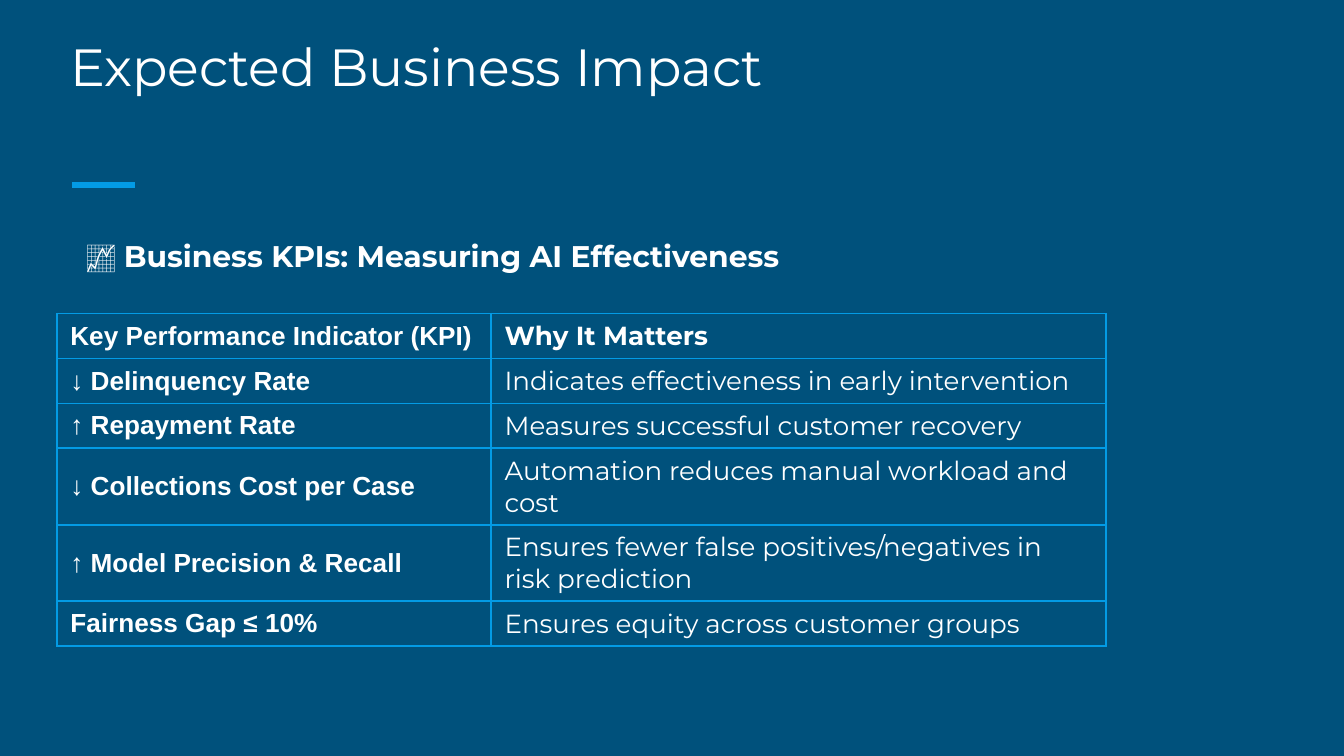
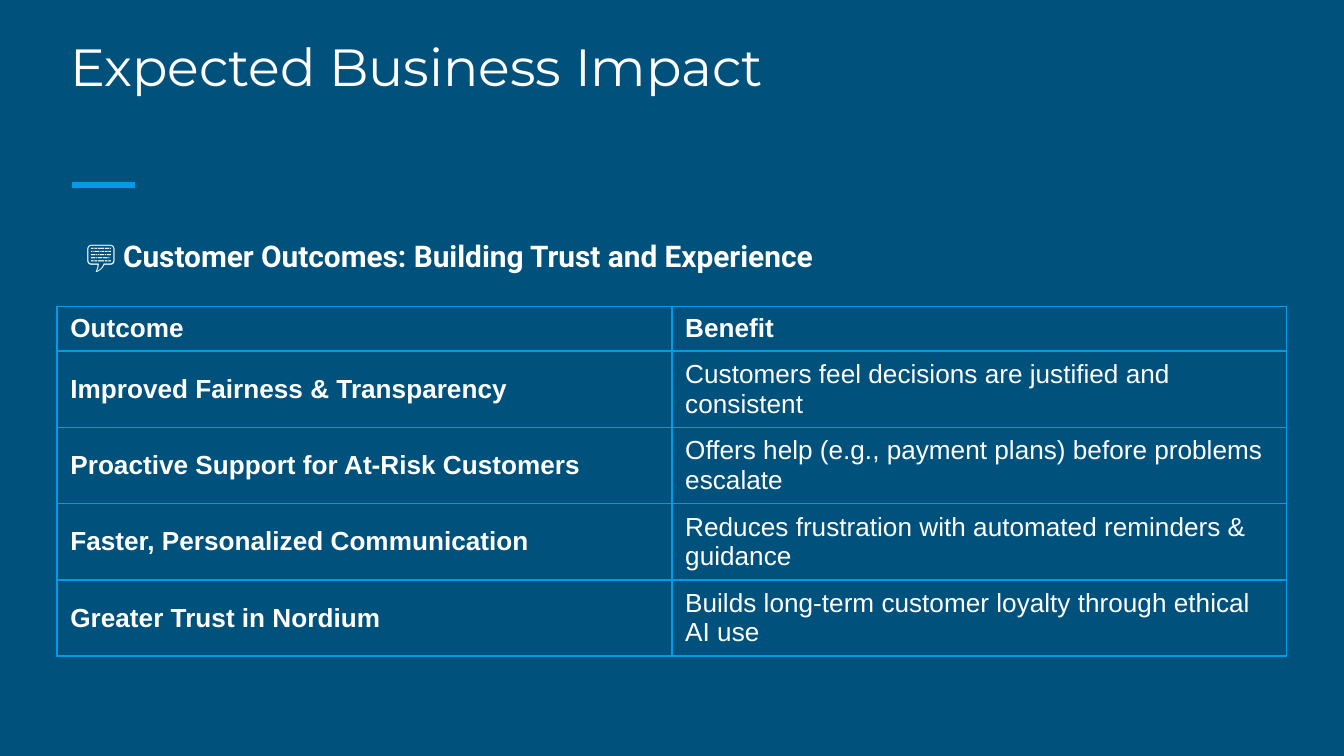
from lxml import etree
from pptx import Presentation
from pptx.dml.color import RGBColor
from pptx.enum.shapes import MSO_CONNECTOR
from pptx.enum.text import MSO_ANCHOR
from pptx.oxml.ns import qn
from pptx.util import Pt

STRAIGHT = MSO_CONNECTOR.STRAIGHT
MIDDLE, BOTTOM, TOP = MSO_ANCHOR.MIDDLE, MSO_ANCHOR.BOTTOM, MSO_ANCHOR.TOP

NAVY = RGBColor(0x00, 0x51, 0x7C)
SKY = RGBColor(0x03, 0x9B, 0xE5)
WHITE = RGBColor(0xFF, 0xFF, 0xFF)

TITLE = "Expected Business Impact"
LEFT, WIDTH = 30.5, 658.8

SLIDES = [
    {
        "icon": "📈 ",
        "heading": "Business KPIs: Measuring AI Effectiveness",
        "heading_font": "Montserrat",
        "header_fonts": ("Arial", "Montserrat"),
        "body_fonts": ("Arial", "Montserrat"),
        "top": 168,
        "columns": (232.6, 329.4),
        "row_heights": (24, 24, 24, 41, 41, 24),
        "rows": [
            ("Key Performance Indicator (KPI)", "Why It Matters"),
            ("↓ Delinquency Rate", "Indicates effectiveness in early intervention"),
            ("↑ Repayment Rate", "Measures successful customer recovery"),
            ("↓ Collections Cost per Case", "Automation reduces manual workload and cost"),
            ("↑ Model Precision & Recall",
             "Ensures fewer false positives/negatives in risk prediction"),
            ("Fairness Gap ≤ 10%", "Ensures equity across customer groups"),
        ],
    },
    {
        "icon": "💬 ",
        "heading": "Customer Outcomes: Building Trust and Experience",
        "heading_font": "Roboto",
        "header_fonts": ("Arial", "Arial"),
        "body_fonts": ("Arial", "Arial"),
        "top": 164.1,
        "columns": (329.4, 329.4),
        "row_heights": (22.3, 37.4, 37.4, 37.4, 37.4),
        "rows": [
            ("Outcome", "Benefit"),
            ("Improved Fairness & Transparency",
             "Customers feel decisions are justified and consistent"),
            ("Proactive Support for At-Risk Customers",
             "Offers help (e.g., payment plans) before problems escalate"),
            ("Faster, Personalized Communication",
             "Reduces frustration with automated reminders & guidance"),
            ("Greater Trust in Nordium",
             "Builds long-term customer loyalty through ethical AI use"),
        ],
    },
]


def style(paragraph, font_name, size):
    font = paragraph.font
    font.name, font.size = font_name, Pt(size)
    font.color.rgb = WHITE


def add_text_area(slide, top, height, anchor):
    """Add a full-width text box and return its first paragraph."""
    frame = slide.shapes.add_textbox(Pt(LEFT), Pt(top), Pt(WIDTH), Pt(height)).text_frame
    frame.word_wrap = True
    frame.vertical_anchor = anchor
    frame.margin_left = frame.margin_right = Pt(7.2)
    frame.margin_top = frame.margin_bottom = Pt(7.2)
    return frame.paragraphs[0]


def add_title(slide):
    rule = slide.shapes.add_connector(STRAIGHT, Pt(38.6), Pt(99), Pt(72.3), Pt(99))
    rule.line.color.rgb = SKY
    rule.line.width = Pt(3)
    etree.SubElement(rule._element.spPr, qn("a:effectLst"))

    title = add_text_area(slide, 10, 49, BOTTOM)
    title.text = TITLE
    style(title, "Montserrat", 28)


def add_heading(slide, content):
    heading = add_text_area(slide, 117.4, 242.6, TOP)
    properties = heading._p.get_or_add_pPr()
    properties.set("marL", str(Pt(36)))
    properties.set("indent", str(-Pt(27.4)))
    heading.line_spacing = 1.15
    heading.add_run().text = content["icon"]
    words = heading.add_run()
    words.text = content["heading"]
    words.font.bold = True
    style(heading, content["heading_font"], 16)


def add_borders(cell):
    properties = cell._tc.get_or_add_tcPr()
    for side in ("lnL", "lnR", "lnT", "lnB"):
        border = etree.SubElement(properties, qn(f"a:{side}"), w=str(Pt(1)))
        fill = etree.SubElement(border, qn("a:solidFill"))
        etree.SubElement(fill, qn("a:srgbClr"), val=str(SKY))


def add_grid(slide, content):
    rows, columns, heights = content["rows"], content["columns"], content["row_heights"]
    table = slide.shapes.add_table(
        len(rows), len(columns), Pt(LEFT), Pt(content["top"]),
        Pt(sum(columns)), Pt(sum(heights))).table
    table.first_row = table.horz_banding = False
    for column, width in zip(table.columns, columns):
        column.width = Pt(width)
    for r, (labels, height) in enumerate(zip(rows, heights)):
        table.rows[r].height = Pt(height)
        fonts = content["body_fonts"] if r else content["header_fonts"]
        for c, (label, font_name) in enumerate(zip(labels, fonts)):
            cell = table.cell(r, c)
            cell.text = label
            cell.vertical_anchor = MIDDLE
            add_borders(cell)
            cell.fill.background()
            paragraph = cell.text_frame.paragraphs[0]
            style(paragraph, font_name, 14)
            paragraph.font.bold = r == 0 or c == 0


def main():
    deck = Presentation()
    deck.slide_width, deck.slide_height = Pt(720), Pt(405)
    for content in SLIDES:
        slide = deck.slides.add_slide(deck.slide_layouts[6])
        slide.background.fill.solid()
        slide.background.fill.fore_color.rgb = NAVY
        add_title(slide)
        add_heading(slide, content)
        add_grid(slide, content)
    deck.save("out.pptx")


if __name__ == "__main__":
    main()
